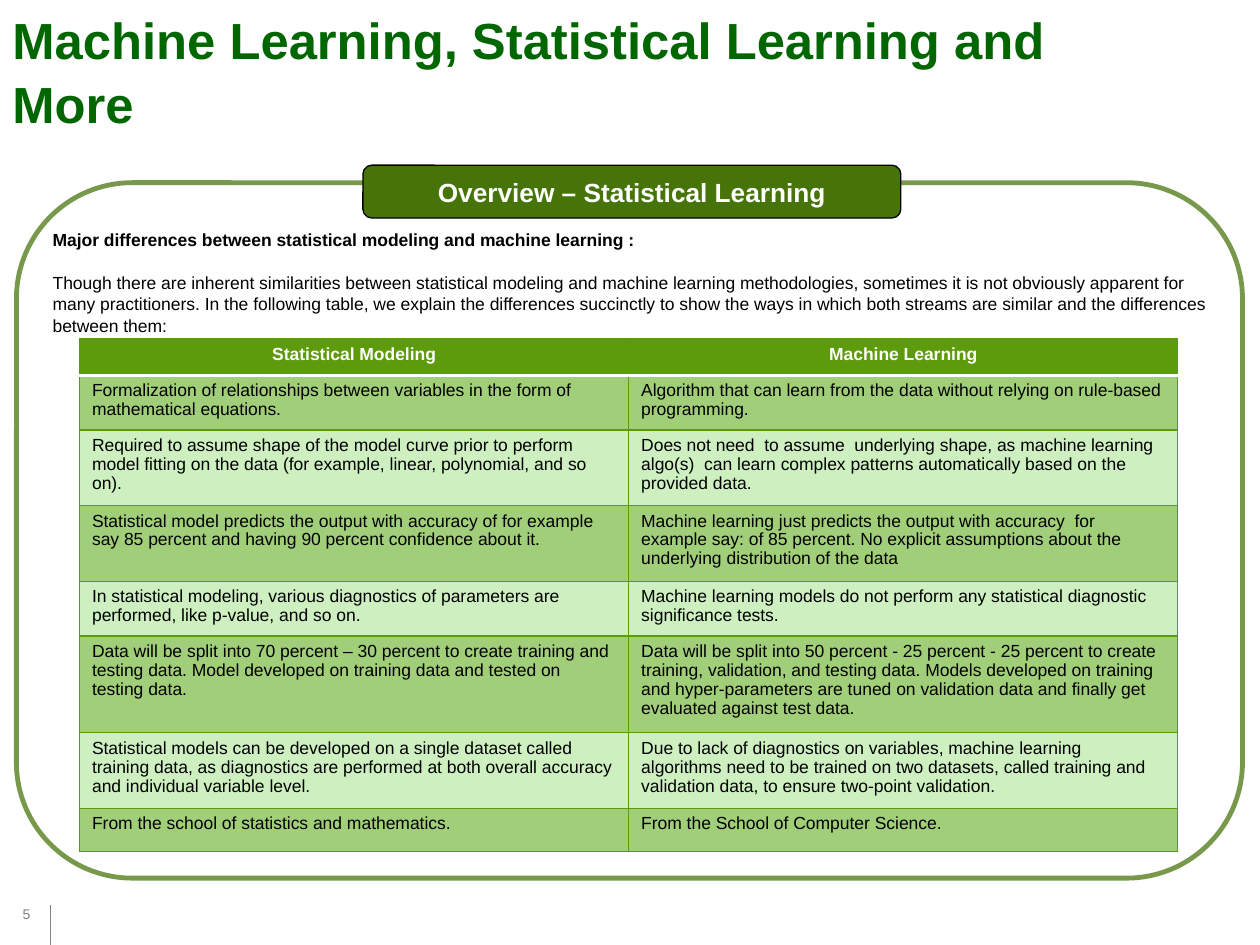
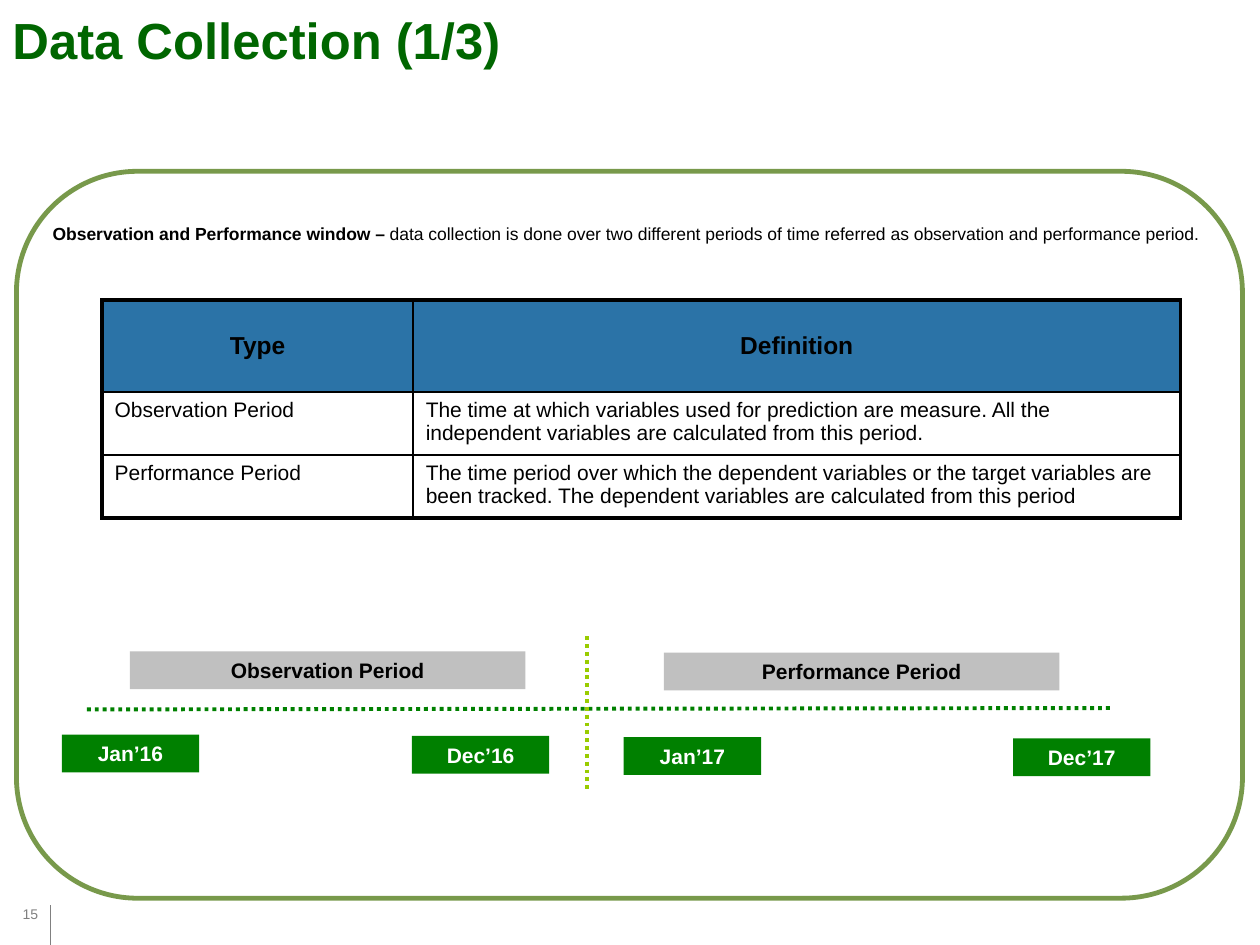
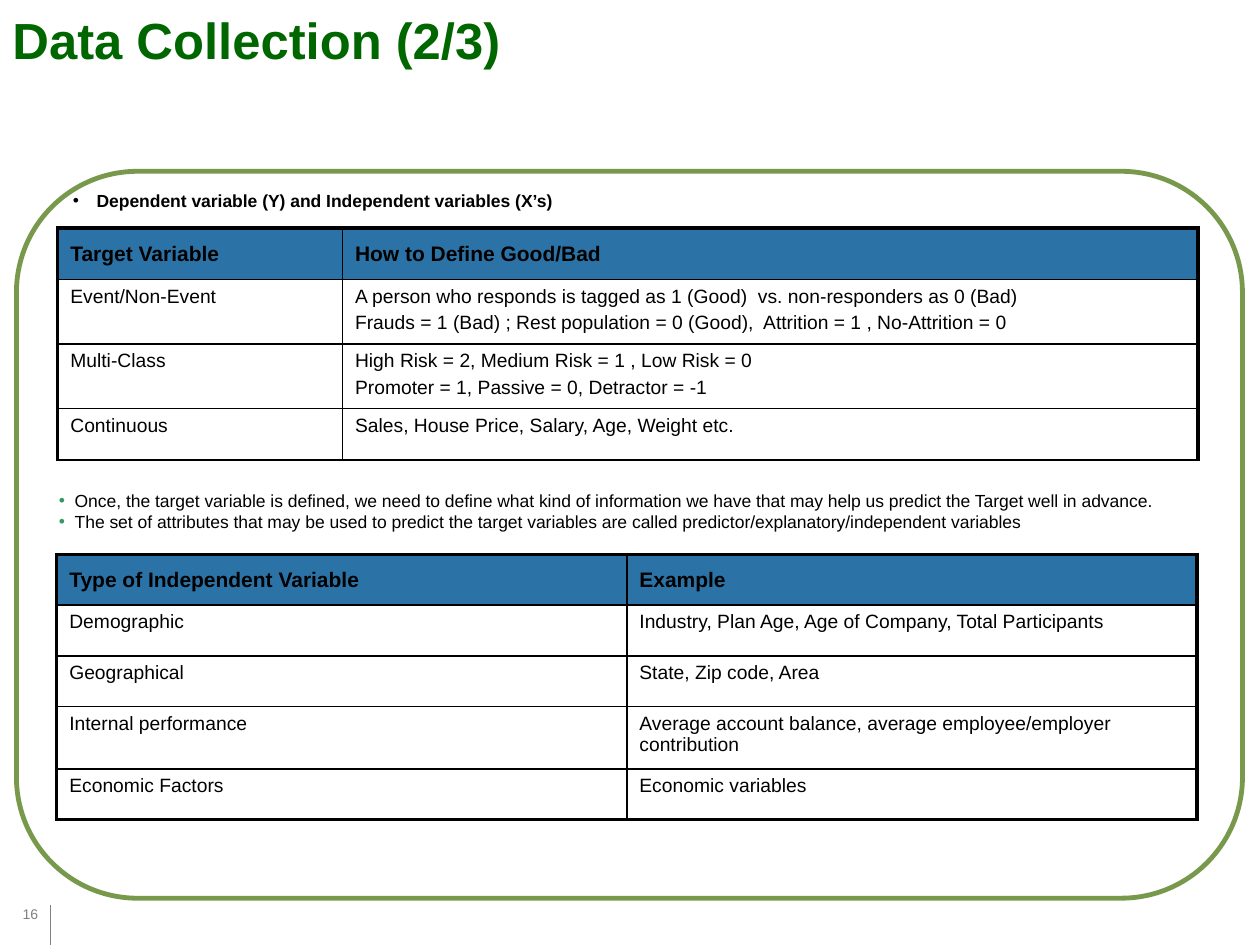
from lxml.etree import SubElement
from pptx import Presentation
from pptx.dml.color import RGBColor
from pptx.enum.dml import MSO_LINE
from pptx.enum.shapes import MSO_CONNECTOR, MSO_SHAPE
from pptx.enum.text import MSO_ANCHOR as Anchor, PP_ALIGN as Align
from pptx.oxml.ns import qn
from pptx.util import Pt

WHITE = RGBColor(0xFF, 0xFF, 0xFF)
BLACK = RGBColor(0x00, 0x00, 0x00)
GRAY = RGBColor(0x80, 0x80, 0x80)
SILVER = RGBColor(0xC0, 0xC0, 0xC0)
TITLE_GREEN = RGBColor(0x00, 0x66, 0x00)
BADGE_GREEN = RGBColor(0x46, 0x74, 0x09)
DATE_GREEN = RGBColor(0x00, 0x80, 0x00)
LIME = RGBColor(0x99, 0xCC, 0x00)
BULLET_GREEN = RGBColor(0x33, 0x99, 0x66)
HEADER_GREEN = RGBColor(0x5D, 0x9A, 0x0C)
GRID_GREEN = RGBColor(0x5B, 0x9A, 0x08)
BAND_DARK = RGBColor(0xA1, 0xCE, 0x79)
BAND_LIGHT = RGBColor(0xCE, 0xF0, 0xC1)
HEADER_BLUE = RGBColor(0x2B, 0x73, 0xA7)

FONT = "Arial"
LOOSE = 1.04
SIDES = ("L", "R", "T", "B")


def points(*lengths):
    return [Pt(length) for length in lengths]


def set_border(cell, side, color, width):
    line = SubElement(cell._tc.get_or_add_tcPr(), qn(f"a:ln{side}"), w=str(Pt(width)))
    fill = SubElement(line, qn("a:solidFill"))
    SubElement(fill, qn("a:srgbClr"), val=str(color))


class Deck:
    def __init__(self):
        self.presentation = Presentation()
        self.presentation.slide_width = Pt(720)
        self.presentation.slide_height = Pt(540)
        self.slide = None

    def start_slide(self, title, number, frame_top, frame_height):
        """Add a slide with the title, frame and page number that all slides share."""
        self.slide = self.presentation.slides.add_slide(self.presentation.slide_layouts[6])
        self.line((28.8, 541.4), (28.8, 517), GRAY, 0.5)
        self.text((5.8, 493.2, 25.2, 37.4), number, 8, GRAY, anchor=Anchor.BOTTOM)
        frame = self.shape(MSO_SHAPE.ROUNDED_RECTANGLE, (9.4, frame_top, 700.6, frame_height),
                           WHITE, BADGE_GREEN, 2.75)
        line_color = frame.line._ln.find(".//" + qn("a:srgbClr"))
        SubElement(line_color, qn("a:alpha"), val="73000")
        self.text((0, 0, 672, 77.8), title, 29, TITLE_GREEN, bold=True, spacing=1.05)

    def add_run(self, paragraph, text, size, color, bold=False):
        run = paragraph.add_run()
        run.text = text
        run.font.name = FONT
        run.font.size = Pt(size)
        run.font.bold = bold
        run.font.color.rgb = color

    def text_box(self, box, anchor=Anchor.TOP):
        frame = self.slide.shapes.add_textbox(*points(*box)).text_frame
        frame.word_wrap = True
        frame.vertical_anchor = anchor
        return frame

    def text(self, box, text, size, color, bold=False, anchor=Anchor.TOP, spacing=1.0):
        paragraph = self.text_box(box, anchor).paragraphs[0]
        paragraph.line_spacing = spacing
        self.add_run(paragraph, text, size, color, bold)

    def lead_text(self, box, lead, body, same_line=False):
        """Write a bold lead, followed by body text on the same line or after a gap."""
        frame = self.text_box(box)
        paragraph = frame.paragraphs[0]
        paragraph.line_spacing = LOOSE
        self.add_run(paragraph, lead, 10, BLACK, True)
        if not same_line:
            paragraph.space_after = Pt(12)
            paragraph = frame.add_paragraph()
            paragraph.line_spacing = LOOSE
        self.add_run(paragraph, body, 10, BLACK)

    def bullets(self, box, items, indent, bullet_color, bold=False):
        frame = self.text_box(box)
        for index, item in enumerate(items):
            paragraph = frame.add_paragraph() if index else frame.paragraphs[0]
            paragraph.line_spacing = LOOSE
            properties = paragraph._p.get_or_add_pPr()
            properties.set("marL", str(Pt(indent)))
            properties.set("indent", str(-Pt(indent)))
            color = SubElement(properties, qn("a:buClr"))
            SubElement(color, qn("a:srgbClr"), val=str(bullet_color))
            SubElement(properties, qn("a:buFont"), typeface=FONT)
            SubElement(properties, qn("a:buChar"), char="•")
            self.add_run(paragraph, item, 10, BLACK, bold)

    def shape(self, kind, box, fill, line=None, line_width=0.75):
        shape = self.slide.shapes.add_shape(kind, *points(*box))
        shape.shadow.inherit = False
        shape.fill.solid()
        shape.fill.fore_color.rgb = fill
        if line is None:
            shape.line.fill.background()
        else:
            shape.line.color.rgb = line
            shape.line.width = Pt(line_width)
        return shape

    def label(self, box, text, size, fill, color, kind=MSO_SHAPE.RECTANGLE, line=None):
        frame = self.shape(kind, box, fill, line).text_frame
        frame.margin_left = frame.margin_right = Pt(3.6)
        frame.vertical_anchor = Anchor.MIDDLE
        paragraph = frame.paragraphs[0]
        paragraph.alignment = Align.CENTER
        self.add_run(paragraph, text, size, color, True)

    def line(self, start, end, color, width, dash=None):
        connector = self.slide.shapes.add_connector(MSO_CONNECTOR.STRAIGHT, *points(*start, *end))
        connector.line.color.rgb = color
        connector.line.width = Pt(width)
        if dash:
            connector.line.dash_style = dash
        SubElement(connector._element.spPr, qn("a:effectLst"))

    def table(self, left, top, widths, heights, rows, *, header_fill, header_size, body_size,
              header_color=BLACK, header_align=Align.LEFT, header_anchor=Anchor.MIDDLE,
              bands=(WHITE,), grid=BLACK, inner=1, outer=2.25, bottom=2.25,
              header_rule=None, spacing=1.0):
        """Draw a table; header_rule is the (colour, width) of the line under the header."""
        table = self.slide.shapes.add_table(
            len(rows), len(widths), *points(left, top, sum(widths), sum(heights))).table
        table.first_row = table.horz_banding = False
        for column, width in zip(table.columns, widths):
            column.width = Pt(width)
        for row, height in zip(table.rows, heights):
            row.height = Pt(height)
        last_row, last_column = len(rows) - 1, len(widths) - 1
        for row_index, texts in enumerate(rows):
            is_header = row_index == 0
            for column_index, text in enumerate(texts):
                cell = table.cell(row_index, column_index)
                edge_widths = (outer if column_index == 0 else inner,
                               outer if column_index == last_column else inner,
                               outer if is_header else inner,
                               bottom if row_index == last_row else inner)
                for side, width in zip(SIDES, edge_widths):
                    under_header = (row_index, side) in ((0, "B"), (1, "T"))
                    rule = header_rule if header_rule and under_header else (grid, width)
                    set_border(cell, side, *rule)
                cell.fill.solid()
                cell.fill.fore_color.rgb = (
                    header_fill if is_header else bands[(row_index - 1) % len(bands)])
                cell.vertical_anchor = header_anchor if is_header else Anchor.TOP
                frame = cell.text_frame
                for index, part in enumerate(text.split("\n")):
                    paragraph = frame.add_paragraph() if index else frame.paragraphs[0]
                    paragraph.space_before = Pt(2.8 if index else 0)
                    paragraph.line_spacing = spacing
                    paragraph.alignment = header_align if is_header else Align.LEFT
                    self.add_run(paragraph, part, header_size if is_header else body_size,
                                 header_color if is_header else BLACK, is_header)


COMPARISON = (
    ("Statistical Modeling", "Machine Learning"),
    ("Formalization of relationships between variables in the form of mathematical equations.",
     "Algorithm that can learn from the data without relying on rule-based programming."),
    ("Required to assume shape of the model curve prior to perform model fitting on the data "
     "(for example, linear, polynomial, and so on).",
     "Does not need  to assume  underlying shape, as machine learning algo(s)  can learn "
     "complex patterns automatically based on the provided data."),
    ("Statistical model predicts the output with accuracy of for example say 85 percent and "
     "having 90 percent confidence about it.",
     "Machine learning just predicts the output with accuracy  for example say: of 85 percent. "
     "No explicit assumptions about the underlying distribution of the data"),
    ("In statistical modeling, various diagnostics of parameters are performed, like p-value, "
     "and so on.",
     "Machine learning models do not perform any statistical diagnostic significance tests."),
    ("Data will be split into 70 percent – 30 percent to create training and testing data. "
     "Model developed on training data and tested on testing data.",
     "Data will be split into 50 percent - 25 percent - 25 percent to create training, "
     "validation, and testing data. Models developed on training and hyper-parameters are "
     "tuned on validation data and finally get evaluated against test data."),
    ("Statistical models can be developed on a single dataset called training data, as "
     "diagnostics are performed at both overall accuracy and individual variable level.",
     "Due to lack of diagnostics on variables, machine learning algorithms need to be trained "
     "on two datasets, called training and validation data, to ensure two-point validation."),
    ("From the school of statistics and mathematics.", "From the School of Computer Science."),
)

PERIODS = (
    ("Type", "Definition"),
    ("Observation Period",
     "The time at which variables used for prediction are measure. All the independent "
     "variables are calculated from this period."),
    ("Performance Period",
     "The time period over which the dependent variables or the target variables are been "
     "tracked. The dependent variables are calculated from this period"),
)

TARGETS = (
    ("Target Variable", "How to Define Good/Bad"),
    ("Event/Non-Event",
     "A person who responds is tagged as 1 (Good)  vs. non-responders as 0 (Bad)\n"
     "Frauds = 1 (Bad) ; Rest population = 0 (Good),  Attrition = 1 , No-Attrition = 0"),
    ("Multi-Class",
     "High Risk = 2, Medium Risk = 1 , Low Risk = 0\n"
     "Promoter = 1, Passive = 0, Detractor = -1"),
    ("Continuous", "Sales, House Price, Salary, Age, Weight etc."),
)

PREDICTORS = (
    ("Type of Independent Variable", "Example"),
    ("Demographic", "Industry, Plan Age, Age of Company, Total Participants"),
    ("Geographical", "State, Zip code, Area"),
    ("Internal performance", "Average account balance, average employee/employer contribution"),
    ("Economic Factors", "Economic variables"),
)


def build_overview(deck):
    deck.start_slide("Machine Learning, Statistical Learning and More", "5", 104.4, 397.4)
    deck.label((207.4, 94.4, 307.4, 30.2), "Overview – Statistical Learning", 15,
               BADGE_GREEN, WHITE, MSO_SHAPE.ROUNDED_RECTANGLE, BLACK)
    deck.lead_text(
        (23, 126.7, 674, 67.7),
        "Major differences between statistical modeling and machine learning :",
        "Though there are inherent similarities between statistical modeling and machine "
        "learning methodologies, sometimes it is not obviously apparent for many practitioners. "
        "In the following table, we explain the differences succinctly to show the ways in "
        "which both streams are similar and the differences between them:")
    deck.table(45.4, 193.7, (313.8, 313.8), (20.9, 31.1, 43.2, 43.2, 31.4, 55.2, 43.2, 24.5),
               COMPARISON, header_fill=HEADER_GREEN, header_size=10, body_size=10,
               header_color=WHITE, header_align=Align.CENTER, header_anchor=Anchor.TOP,
               bands=(BAND_DARK, BAND_LIGHT), grid=GRID_GREEN, inner=0.75, outer=0.75,
               bottom=0.75, header_rule=(WHITE, 2), spacing=0.97)


def build_periods(deck):
    deck.start_slide("Data Collection (1/3)", "15", 97.9, 415.4)
    deck.lead_text(
        (23, 123.4, 671, 19.4), "Observation and Performance window – ",
        "data collection is done over two different periods of time referred as observation "
        "and performance period.", same_line=True)
    deck.table(58.3, 171.4, (177.8, 438.5), (52.6, 36, 36), PERIODS, header_fill=HEADER_BLUE,
               header_size=14, body_size=12, header_align=Align.CENTER)
    deck.line((49.7, 405.4), (635, 404.6), DATE_GREEN, 2.25, MSO_LINE.ROUND_DOT)
    deck.line((335.5, 363.6), (335.5, 452.2), LIME, 2.25, MSO_LINE.ROUND_DOT)
    dates = (("Jan’16", 35.3), ("Dec’16", 235.4), ("Jan’17", 356.4), ("Dec’17", 578.9))
    for index, (date, left) in enumerate(dates):
        deck.label((left, 419.8 + 0.7 * index, 78.5, 21.6), date, 12, DATE_GREEN, WHITE)
    for index, (period, left) in enumerate((("Observation Period", 74.2),
                                            ("Performance Period", 379.4))):
        deck.label((left, 372.2 + 0.7 * index, 226.1, 21.6), period, 12, SILVER, BLACK)


def build_variables(deck):
    deck.start_slide("Data Collection (2/3)", "16", 97.9, 415.4)
    deck.bullets((34.6, 104.4, 671, 19.4),
                 ("Dependent variable (Y) and Independent variables (X’s)",),
                 13.5, BLACK, bold=True)
    style = {"header_fill": HEADER_BLUE, "header_size": 12, "body_size": 11}
    deck.table(33, 130.3, (162.7, 488.9), (29.5, 36.8, 36.8, 29.5), TARGETS, bottom=1, **style)
    deck.bullets(
        (26.6, 275.8, 666.7, 31.7),
        ("Once, the target variable is defined, we need to define what kind of information we "
         "have that may help us predict the Target well in advance.",
         "The set of attributes that may be used to predict the target variables are called "
         "predictor/explanatory/independent variables"), 9, BULLET_GREEN)
    deck.table(32.4, 316.8, (325.8, 325.8), (29, 29, 29, 35.6, 29), PREDICTORS, **style)


def main():
    deck = Deck()
    build_overview(deck)
    build_periods(deck)
    build_variables(deck)
    deck.presentation.save("out.pptx")


if __name__ == "__main__":
    main()
